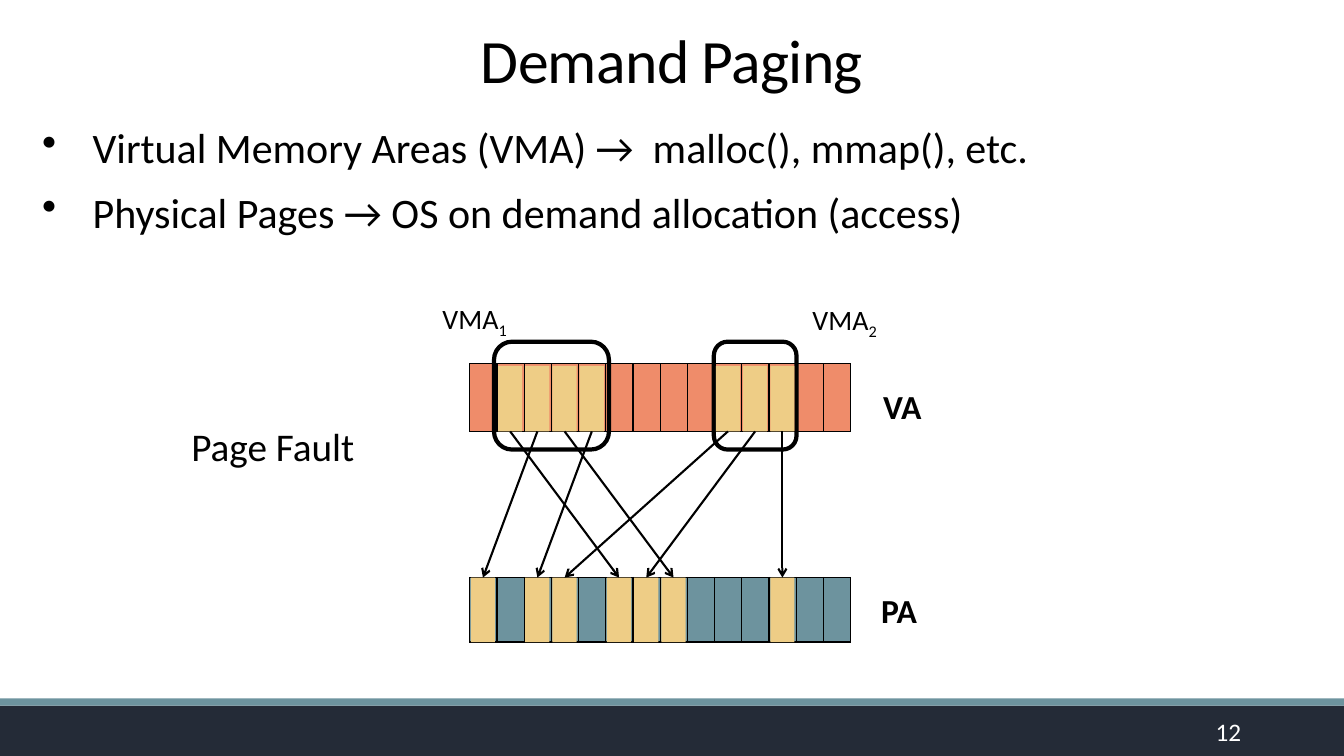
from dataclasses import dataclass

from lxml.etree import SubElement
from pptx import Presentation
from pptx.dml.color import RGBColor
from pptx.enum.shapes import MSO_CONNECTOR as Connector, MSO_SHAPE as Shape
from pptx.enum.text import MSO_ANCHOR as Anchor, MSO_AUTO_SIZE as AutoSize, PP_ALIGN as Align
from pptx.oxml.ns import qn
from pptx.util import Emu, Pt


@dataclass(frozen=True)
class Theme:
    """Colours, font and type sizes of the slide."""
    font: str = "Calibri"
    black: str = "000000"
    white: str = "FFFFFF"
    footer: str = "242B37"
    physical: str = "6D939E"
    virtual: str = "EF8C6A"
    mapped: str = "EECD86"
    title: int = 44
    bullet: int = 30
    caption: int = 28
    space: int = 24
    area: int = 20
    number: int = 18


THEME = Theme()
EMU_PER_PX = 9144
PAGE_COUNT, PAGE_WIDTH = 14, 27
PAGES_LEFT = 466
VIRTUAL_TOP, PHYSICAL_TOP = 361, 573
VIRTUAL_HEIGHT, PHYSICAL_HEIGHT = 67, 64
PAGE_MAP = {1: 5, 2: 0, 3: 7, 4: 2, 9: 3, 10: 6, 11: 11}


def px(*lengths):
    """Turn px lengths into EMU."""
    return [Emu(length * EMU_PER_PX) for length in lengths]


def color(value):
    """Turn a hex string into a colour."""
    return RGBColor.from_string(value)


def style(paragraph, size, ink=THEME.black, bold=False, align=Align.LEFT):
    """Set the font and alignment of a paragraph."""
    font = paragraph.font
    font.name, font.size, font.bold = THEME.font, Pt(size), bold
    font.color.rgb = color(ink)
    paragraph.alignment = align


def add_title(slide, text, box):
    """Fill and place the title placeholder."""
    title = slide.shapes.title
    title.left, title.top, title.width, title.height = px(*box)
    title.text_frame.vertical_anchor = Anchor.BOTTOM
    paragraph = title.text_frame.paragraphs[0]
    run = paragraph.add_run()
    run.text = text
    run._r.get_or_add_rPr().set("spc", "-50")
    paragraph.line_spacing = 0.85
    style(paragraph, THEME.title, align=Align.CENTER)


def add_label(slide, text, box, size, subscript="", wrap=False, **look):
    """Add a one-line label, with an optional subscript."""
    label = slide.shapes.add_textbox(*px(*box))
    frame = label.text_frame
    frame.word_wrap = wrap
    paragraph = frame.paragraphs[0]
    paragraph.add_run().text = text
    if subscript:
        run = paragraph.add_run()
        run.text = subscript
        run._r.get_or_add_rPr().set("baseline", "-25000")
    style(paragraph, size, **look)
    return label


def add_bullets(slide, lines, box):
    """Add a bulleted list."""
    frame = slide.shapes.add_textbox(*px(*box)).text_frame
    frame.word_wrap = True
    frame.auto_size = AutoSize.SHAPE_TO_FIT_TEXT
    for index, line in enumerate(lines):
        paragraph = frame.add_paragraph() if index else frame.paragraphs[0]
        paragraph.add_run().text = line
        style(paragraph, THEME.bullet)
        paragraph.space_after = Pt(10)
        properties = paragraph._p.get_or_add_pPr()
        indent = px(50)[0]
        properties.set("marL", str(indent))
        properties.set("indent", str(-indent))
        bullet = properties.makeelement(qn("a:buChar"), {"char": "•"})
        properties.find(qn("a:defRPr")).addprevious(bullet)


def add_block(slide, box, fill):
    """Add a plain filled rectangle."""
    block = slide.shapes.add_shape(Shape.RECTANGLE, *px(*box))
    block.shadow.inherit = False
    block.fill.solid()
    block.fill.fore_color.rgb = color(fill)
    block.line.fill.background()
    return block


def add_area_frame(slide, box):
    """Add a rounded outline around a virtual memory area."""
    frame = slide.shapes.add_shape(Shape.ROUNDED_RECTANGLE, *px(*box))
    frame.shadow.inherit = False
    frame.fill.background()
    frame.line.color.rgb = color(THEME.black)
    frame.line.width = Pt(3)


def add_border(cell):
    """Draw a thin line on the four sides of a cell."""
    properties = cell._tc.get_or_add_tcPr()
    for side in ("lnL", "lnR", "lnT", "lnB"):
        line = SubElement(properties, qn(f"a:{side}"), w=str(Pt(1)))
        SubElement(SubElement(line, qn("a:solidFill")), qn("a:srgbClr"), val=THEME.black)


def add_address_space(slide, top, height, fill):
    """Add a one-row table with a cell for each page."""
    box = px(PAGES_LEFT, top, PAGE_COUNT * PAGE_WIDTH, height)
    table = slide.shapes.add_table(1, PAGE_COUNT, *box).table
    table.first_row = table.horz_banding = False
    for column in table.columns:
        column.width = px(PAGE_WIDTH)[0]
    for cell in table.rows[0].cells:
        add_border(cell)
        cell.fill.solid()
        cell.fill.fore_color.rgb = color(fill)


def add_mapped_page(slide, index, top, height):
    """Cover one page of an address space with the mapped colour."""
    left = PAGES_LEFT + index * PAGE_WIDTH + 1
    return add_block(slide, (left, top, PAGE_WIDTH - 3, height), THEME.mapped)


def add_mapping_arrow(slide, virtual_page, physical_page):
    """Join a virtual page to its physical page with an arrow."""
    arrow = slide.shapes.add_connector(Connector.STRAIGHT, 0, 0, 0, 0)
    arrow.begin_connect(virtual_page, 2)
    arrow.end_connect(physical_page, 0)
    arrow.line.color.rgb = color(THEME.black)
    arrow.line.width = Pt(1.5)
    SubElement(arrow.line._get_or_add_ln(), qn("a:tailEnd"), type="arrow")
    SubElement(arrow._element.spPr, qn("a:effectLst"))


def main():
    """Build the slide and save it."""
    presentation = Presentation()
    presentation.slide_width, presentation.slide_height = px(1333, 750)
    slide = presentation.slides.add_slide(presentation.slide_layouts[5])

    add_block(slide, (0, 700, 1333, 50), THEME.footer)
    add_block(slide, (0, 693, 1333, 7), THEME.physical)
    add_title(slide, "Demand Paging", (0, 1, 1333, 99))

    add_address_space(slide, VIRTUAL_TOP, VIRTUAL_HEIGHT, THEME.virtual)
    add_address_space(slide, PHYSICAL_TOP, PHYSICAL_HEIGHT, THEME.physical)
    add_label(slide, "VA", (866, 378, 59, 50), THEME.space, bold=True)
    add_label(slide, "PA", (864, 580, 56, 50), THEME.space, bold=True)

    add_area_frame(slide, (490, 339, 114, 107))
    add_area_frame(slide, (708, 339, 82, 107))
    add_label(slide, "VMA", (429, 294, 86, 44), THEME.area, subscript="1")
    add_label(slide, "VMA", (796, 295, 86, 44), THEME.area, subscript="2")

    page_pairs = [
        (add_mapped_page(slide, virtual, VIRTUAL_TOP + 2, VIRTUAL_HEIGHT - 2),
         add_mapped_page(slide, physical, PHYSICAL_TOP, PHYSICAL_HEIGHT))
        for virtual, physical in PAGE_MAP.items()
    ]
    for virtual_page, physical_page in page_pairs:
        add_mapping_arrow(slide, virtual_page, physical_page)

    add_bullets(slide, (
        "Virtual Memory Areas (VMA) →  malloc(), mmap(), etc.",
        "Physical Pages → OS on demand allocation (access)",
    ), (32, 116, 1292, 125))
    add_label(slide, "Page Fault", (180, 414, 183, 57), THEME.caption)
    number = add_label(slide, "12", (1098, 706, 143, 40), THEME.number,
                       wrap=True, ink=THEME.white, align=Align.RIGHT)
    number.text_frame.vertical_anchor = Anchor.MIDDLE
    presentation.save("out.pptx")


if __name__ == "__main__":
    main()
